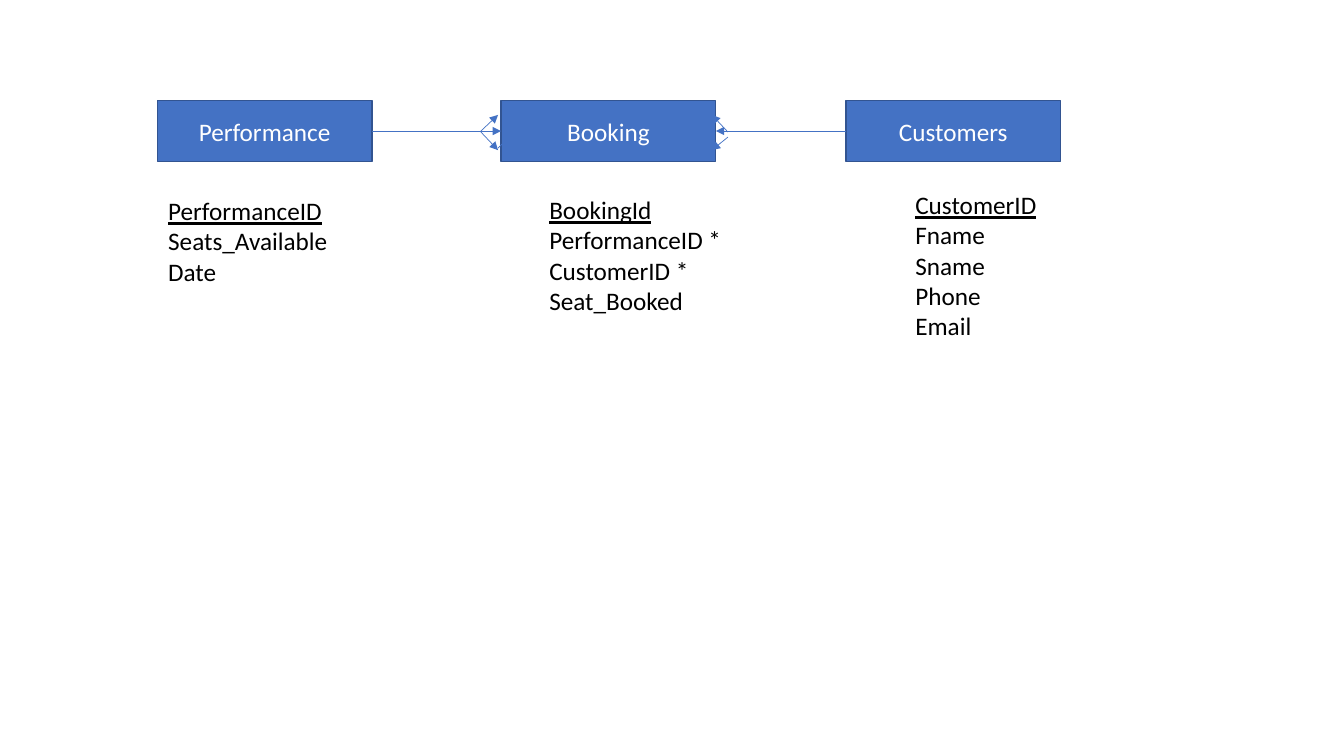
from dataclasses import dataclass

from pptx import Presentation
from pptx.dml.color import RGBColor
from pptx.enum.shapes import MSO_CONNECTOR, MSO_SHAPE
from pptx.enum.text import MSO_ANCHOR, MSO_AUTO_SIZE, PP_ALIGN
from pptx.oxml.ns import qn
from pptx.util import Pt
from lxml.etree import SubElement


@dataclass(frozen=True)
class Theme:
    blue = RGBColor(0x44, 0x72, 0xC4)
    outline = RGBColor(0x32, 0x54, 0x91)
    white = RGBColor(0xFF, 0xFF, 0xFF)
    black = RGBColor(0, 0, 0)
    font = "Calibri"
    size = Pt(18)


PX = 9144
theme = Theme()


def write(paragraph, text, color):
    paragraph.text = text
    paragraph.font.name = theme.font
    paragraph.font.size = theme.size
    paragraph.font.color.rgb = color


def add_arrow(start_x, start_y, end_x, end_y):
    arrow = slide.shapes.add_connector(
        MSO_CONNECTOR.STRAIGHT, start_x * PX, start_y * PX, end_x * PX, end_y * PX
    )
    arrow.line.color.rgb = theme.blue
    arrow.line.width = Pt(0.5)
    SubElement(arrow.line._get_or_add_ln(), qn("a:tailEnd"), type="triangle")
    SubElement(arrow._element.spPr, qn("a:effectLst"))
    return arrow


presentation = Presentation()
presentation.slide_width = 1333 * PX
presentation.slide_height = 750 * PX
slide = presentation.slides.add_slide(presentation.slide_layouts[6])

entities = {}
for name, left in [("Booking", 497), ("Performance", 156), ("Customers", 839)]:
    box = slide.shapes.add_shape(
        MSO_SHAPE.RECTANGLE, left * PX, 100 * PX, 213 * PX, 60 * PX
    )
    box.shadow.inherit = False
    box.fill.solid()
    box.fill.fore_color.rgb = theme.blue
    box.line.color.rgb = theme.outline
    box.line.width = Pt(1)
    box.text_frame.vertical_anchor = MSO_ANCHOR.MIDDLE
    paragraph = box.text_frame.paragraphs[0]
    write(paragraph, name, theme.white)
    paragraph.alignment = PP_ALIGN.CENTER
    entities[name] = box

for name, start_x, start_side, end_x, end_side in [
    ("Performance", 369, 3, 497, 1),
    ("Customers", 839, 1, 710, 3),
]:
    relation = add_arrow(start_x, 130, end_x, 130)
    relation.begin_connect(entities[name], start_side)
    relation.end_connect(entities["Booking"], end_side)

for crow_foot in [
    (477, 130, 494, 114),
    (477, 131, 494, 149),
    (722, 131, 706, 114),
    (494, 147, 510, 131),
    (722, 136, 706, 149),
]:
    add_arrow(*crow_foot)

for left, top, width, height, wrap, fields in [
    (157, 189, 206, 131, True, ["PerformanceID", "Seats_Available", "Date"]),
    (535, 188, 193, 131, False,
     ["BookingId", "PerformanceID *", "CustomerID *", "Seat_Booked"]),
    (898, 183, 142, 192, False,
     ["CustomerID", "Fname", "Sname", "Phone", "Email"]),
]:
    field_list = slide.shapes.add_textbox(left * PX, top * PX, width * PX, height * PX)
    frame = field_list.text_frame
    frame.word_wrap = wrap
    frame.auto_size = MSO_AUTO_SIZE.NONE if wrap else MSO_AUTO_SIZE.SHAPE_TO_FIT_TEXT
    for index, field in enumerate(fields):
        paragraph = frame.add_paragraph() if index else frame.paragraphs[0]
        write(paragraph, field, theme.black)
        paragraph.font.underline = index == 0

presentation.save("out.pptx")
